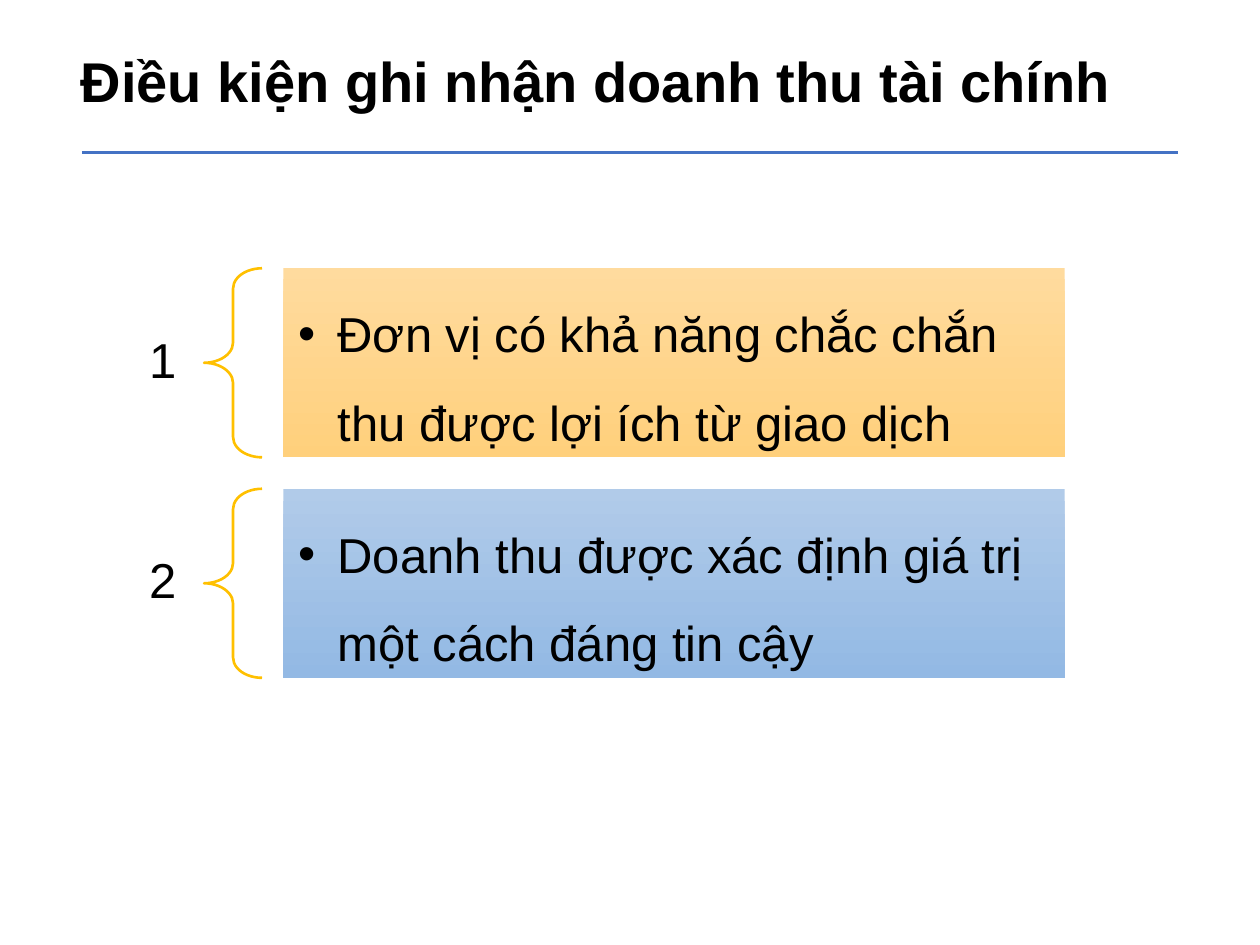
from lxml.etree import SubElement
from pptx import Presentation
from pptx.dml.color import RGBColor
from pptx.enum.shapes import MSO_CONNECTOR, MSO_SHAPE
from pptx.enum.text import MSO_ANCHOR, MSO_AUTO_SIZE, PP_ALIGN
from pptx.oxml.ns import qn
from pptx.util import Inches, Pt

COLORS = {
    "text": "000000", "rule": "4472C4", "brace": "FFC000",
    "gold": ("FFDB9E", "FFD07C"), "blue": ("B1CBE9", "93B9E4"),
}
ITEMS = [
    ("Đơn vị có khả năng chắc chắn thu được lợi ích từ giao dịch", "gold"),
    ("Doanh thu được xác định giá trị một cách đáng tin cậy", "blue"),
]
COLS, ROWS = 100, 75  # grid of tenths of an inch


def rgb(code):
    return RGBColor.from_string(code)


def write(frame, text, size=28, bold=False, align=PP_ALIGN.LEFT,
          anchor=MSO_ANCHOR.MIDDLE, inset=(0.1, 0.05), space=1.0, bullet=None):
    frame.word_wrap = True
    frame.vertical_anchor = anchor
    frame.margin_left = frame.margin_right = Inches(inset[0])
    frame.margin_top = frame.margin_bottom = Inches(inset[1])
    para = frame.paragraphs[0]
    para.text, para.alignment, para.line_spacing = text, align, space
    if bullet:
        props = para._p.get_or_add_pPr()
        props.set("marL", str(Inches(0.31)))
        props.set("indent", str(-Inches(0.31)))
        SubElement(props, qn("a:buFont")).set("typeface", "Arial")
        SubElement(props, qn("a:buChar")).set("char", bullet)
    font = para.runs[0].font
    font.name, font.size, font.bold = "Arial", Pt(size), bold
    font.color.rgb = rgb(COLORS["text"])


class Deck:
    def __init__(self):
        self.prs = Presentation()
        self.prs.slide_width, self.prs.slide_height = Inches(10), Inches(7.5)
        self.slide = self.prs.slides.add_slide(self.prs.slide_layouts[5])
        self.shapes = self.slide.shapes

    def place(self, col, row, wide=0, high=0):
        x, y = self.prs.slide_width / COLS, self.prs.slide_height / ROWS
        return [round(v) for v in (col * x, row * y, wide * x, high * y)]

    def title(self, text, *area):
        head = self.shapes.title
        head.left, head.top, head.width, head.height = self.place(*area)
        write(head.text_frame, text, size=32, bold=True, anchor=MSO_ANCHOR.TOP)
        head.text_frame.auto_size = MSO_AUTO_SIZE.SHAPE_TO_FIT_TEXT

    def rule(self, left, right, row):
        start, end = self.place(left, row)[:2], self.place(right, row)[:2]
        line = self.shapes.add_connector(MSO_CONNECTOR.STRAIGHT, *start, *end)
        line.line.color.rgb, line.line.width = rgb(COLORS["rule"]), Pt(1.5)
        SubElement(line._element.spPr, qn("a:effectLst"))

    def label(self, text, *area):
        box = self.shapes.add_textbox(*self.place(*area))
        write(box.text_frame, text, align=PP_ALIGN.RIGHT,
              inset=(0.22, 0.08), space=0.9)

    def brace(self, *area):
        mark = self.shapes.add_shape(MSO_SHAPE.LEFT_BRACE, *self.place(*area))
        mark.shadow.inherit = False
        mark.adjustments[0], mark.adjustments[1] = 0.35, 0.5
        mark.fill.background()
        mark.line.color.rgb, mark.line.width = rgb(COLORS["brace"]), Pt(1.5)

    def panel(self, text, tone, *area):
        card = self.shapes.add_shape(MSO_SHAPE.RECTANGLE, *self.place(*area))
        card.shadow.inherit = False
        card.line.fill.background()
        card.fill.gradient()
        card.fill.gradient_angle = 270
        for stop, code, spot in zip(card.fill.gradient_stops, COLORS[tone], (0, 1)):
            stop.color.rgb, stop.position = rgb(code), spot
        write(card.text_frame, text, inset=(0.12, 0.12), space=1.5, bullet="•")


def main():
    deck = Deck()
    # Title and rule
    deck.rule(6.5, 93.5, 12.1)
    deck.title("Điều kiện ghi nhận doanh thu tài chính", 5.4, 3.2, 91.1, 6.4)
    # Numbered conditions
    top, high, step = 21.3, 15, 17.5
    for i, (text, tone) in enumerate(ITEMS):
        row = top + i * step
        deck.label(str(i + 1), 0, row + 0.4, 16.2, 14.1)
        deck.brace(16.2, row, 4.6, high)
        deck.panel(text, tone, 22.5, row, 62, high)
    deck.prs.save("out.pptx")


if __name__ == "__main__":
    main()
